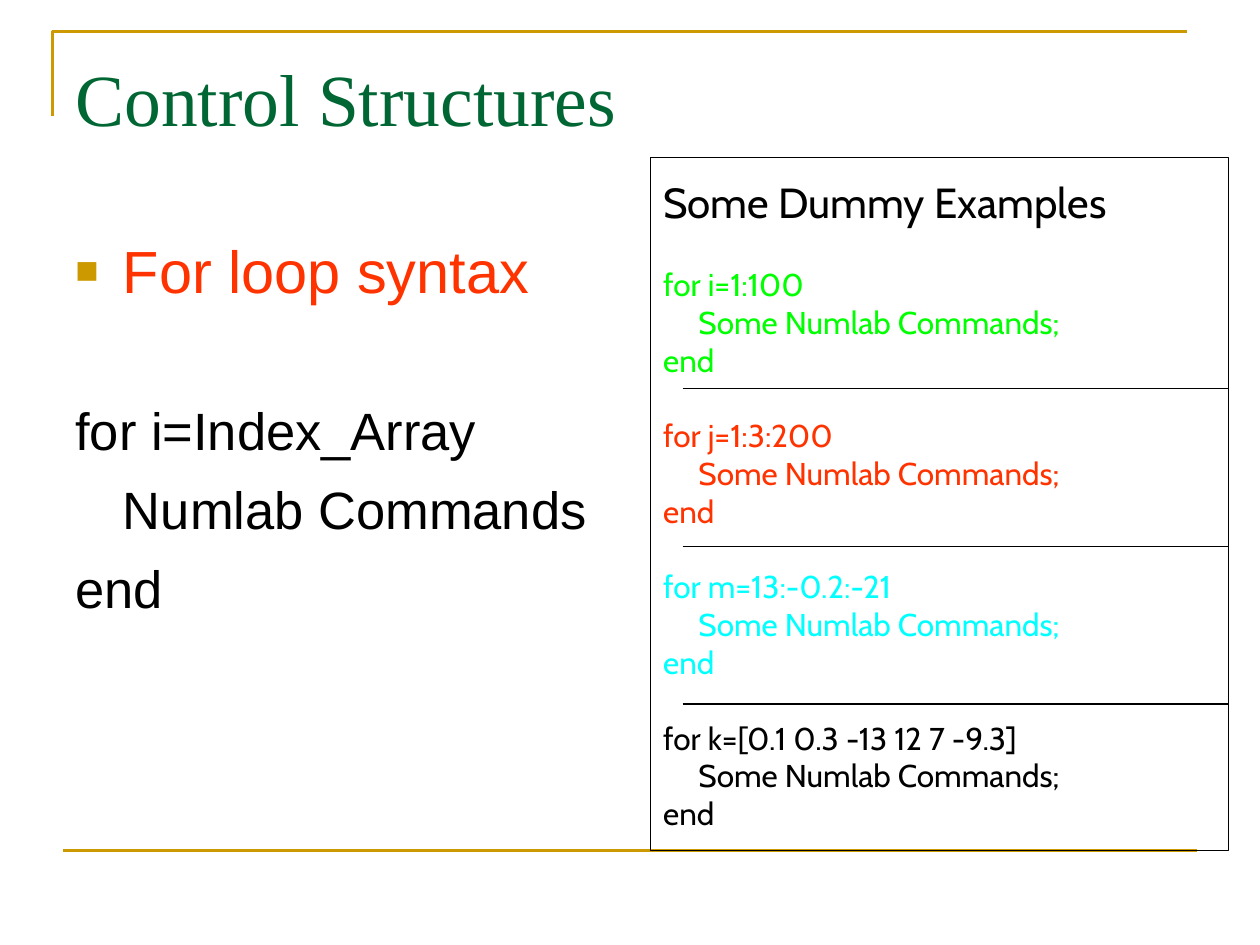
from dataclasses import dataclass

from lxml.etree import SubElement
from pptx import Presentation
from pptx.dml.color import RGBColor
from pptx.enum.shapes import MSO_CONNECTOR as Link, MSO_SHAPE as Kind
from pptx.enum.text import MSO_ANCHOR as Anchor, PP_ALIGN as Align
from pptx.oxml.ns import qn
from pptx.util import Cm, Pt

GOLD = RGBColor(0xCC, 0x99, 0x00)
PINE = RGBColor(0x00, 0x66, 0x33)
RED = RGBColor(0xFF, 0x33, 0x00)
LIME = RGBColor(0x00, 0xFF, 0x00)
CYAN = RGBColor(0x00, 0xFF, 0xFF)
BLACK = RGBColor(0x00, 0x00, 0x00)


@dataclass
class Line:
    text: str
    size: float
    color: RGBColor = BLACK
    font: str = "Arial"
    left: float = 0
    gap: float = 0
    bullet: bool = False


@dataclass
class Loop:
    head: str
    color: RGBColor

    def lines(self) -> list[Line]:
        return [
            Line(self.head, 18, self.color, "Cabin", gap=21.6),
            Line("Some Numlab Commands;", 18, self.color, "Cabin", left=0.71),
            Line("end", 18, self.color, "Cabin"),
        ]


def add_mark(props, left: float) -> None:
    """Give a paragraph a small gold square with a hanging indent."""
    props.set("indent", str(-Cm(left)))
    tint = SubElement(props, qn("a:buClr"))
    SubElement(tint, qn("a:srgbClr"), val=str(GOLD))
    SubElement(props, qn("a:buSzPct"), val="65000")
    SubElement(props, qn("a:buFont"), typeface="Arial")
    SubElement(props, qn("a:buChar"), char="■")


def write(frame, lines: list[Line], top: float, anchor: Anchor) -> None:
    frame.word_wrap = True
    frame.vertical_anchor = anchor
    frame.margin_top = Cm(top)
    for i, line in enumerate(lines):
        para = frame.paragraphs[0] if i == 0 else frame.add_paragraph()
        para.text = line.text
        para.alignment = Align.LEFT
        para.space_before = Pt(line.gap)
        props = para._p.get_or_add_pPr()
        props.set("marL", str(Cm(line.left)))
        if line.bullet:
            add_mark(props, line.left)
        para.font.name = line.font
        para.font.size = Pt(line.size)
        para.font.color.rgb = line.color


def add_text(shapes, box: tuple, lines: list[Line], top: float) -> None:
    area = shapes.add_textbox(*map(Cm, box))
    write(area.text_frame, lines, top, Anchor.TOP)


def add_rule(shapes, left: float, right: float, y: float,
             color: RGBColor, width: float) -> None:
    rule = shapes.add_connector(Link.STRAIGHT, Cm(left), Cm(y), Cm(right), Cm(y))
    rule.line.color.rgb = color
    rule.line.width = Pt(width)
    SubElement(rule._element.spPr, qn("a:effectLst"))


def add_frame(shapes) -> None:
    pen = shapes.build_freeform(Cm(1.06), Cm(2.33))
    pen.add_line_segments([(Cm(1.06), Cm(0.64)), (Cm(23.92), Cm(0.64))], close=False)
    edge = pen.convert_to_shape()
    edge.shadow.inherit = False
    edge.fill.background()
    edge.line.color.rgb = GOLD
    edge.line.width = Pt(1.5)


def add_panel(shapes, loops: list[Loop]) -> None:
    group = shapes.add_group_shape().shapes
    box = group.add_shape(Kind.RECTANGLE, Cm(13.12), Cm(3.18), Cm(11.64), Cm(13.97))
    box.shadow.inherit = False
    box.fill.background()
    box.line.color.rgb = BLACK
    box.line.width = Pt(0.75)
    lines = [Line("Some Dummy Examples", 24, font="Cabin")]
    for loop in loops:
        lines += loop.lines()
    write(box.text_frame, lines, 0.13, Anchor.MIDDLE)
    # One rule between each pair of loops
    for i in range(len(loops) - 1):
        add_rule(group, 13.76, 24.76, 7.83 + 3.18 * i, BLACK, 0.75)


def main() -> None:
    deck = Presentation()
    deck.slide_width, deck.slide_height = Cm(25.4), Cm(19.05)
    shapes = deck.slides.add_slide(deck.slide_layouts[6]).shapes

    # Gold border lines
    add_frame(shapes)
    add_rule(shapes, 1.27, 24.13, 17.15, GOLD, 1.5)

    # Title and loop syntax
    add_text(shapes, (1.27, 0.76, 22.86, 3.18),
             [Line("Control Structures", 42, PINE, "Times New Roman")], 0.3)
    add_text(shapes, (1.27, 4.45, 22.86, 12.57), [
        Line("For loop syntax", 34, RED, left=0.96, bullet=True),
        Line("for i=Index_Array", 30, gap=52.8),
        Line("Numlab Commands", 30, left=0.96, gap=9.25),
        Line("end", 30, gap=9.25),
    ], 0.27)

    # Example panel
    add_panel(shapes, [
        Loop("for i=1:100", LIME),
        Loop("for j=1:3:200", RED),
        Loop("for m=13:-0.2:-21", CYAN),
        Loop("for k=[0.1 0.3 -13 12 7 -9.3]", BLACK),
    ])
    deck.save("out.pptx")


if __name__ == "__main__":
    main()
